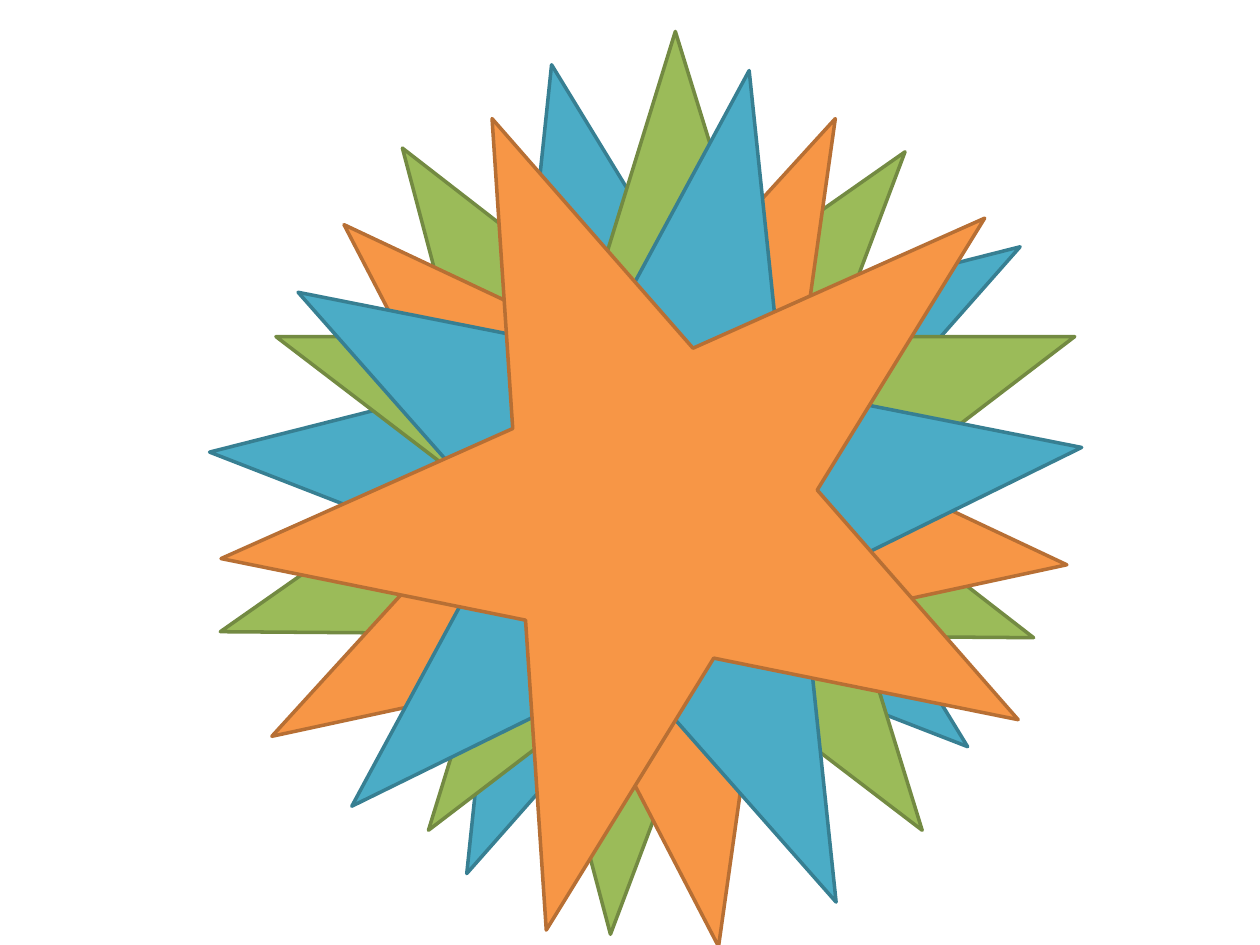
"""Build a slide with six overlapping, rotated five-pointed stars."""
from pptx import Presentation
from pptx import util as u
from pptx.dml import color
from pptx.enum import shapes

theme = {
    "green": ("9BBB59", "738A42"),
    "blue": ("4BACC6", "377F92"),
    "orange": ("F79646", "B76F34"),
    "outline": u.Pt(2),
}
star_size = u.Pt(456.48)
stars = [
    (149.04, 38.88, 37.8, "green"),
    (159.84, 31.68, 58.6, "blue"),
    (151.92, 46.08, 25.2, "orange"),
    (157.68, 18, 0, "green"),
    (155.52, 36, 11.2, "blue"),
    (162.72, 46.8, 48.8, "orange"),
]

deck = Presentation()
deck.slide_width, deck.slide_height = u.Pt(720), u.Pt(540)
slide = deck.slides.add_slide(deck.slide_layouts[6])

for left, top, turn, hue in stars:
    fill, edge = theme[hue]
    star = slide.shapes.add_shape(
        shapes.MSO_SHAPE.STAR_5_POINT, u.Pt(left), u.Pt(top), star_size, star_size
    )
    star.rotation = turn
    star.shadow.inherit = False
    star.fill.solid()
    star.fill.fore_color.rgb = color.RGBColor.from_string(fill)
    star.line.color.rgb = color.RGBColor.from_string(edge)
    star.line.width = theme["outline"]

deck.save("out.pptx")
